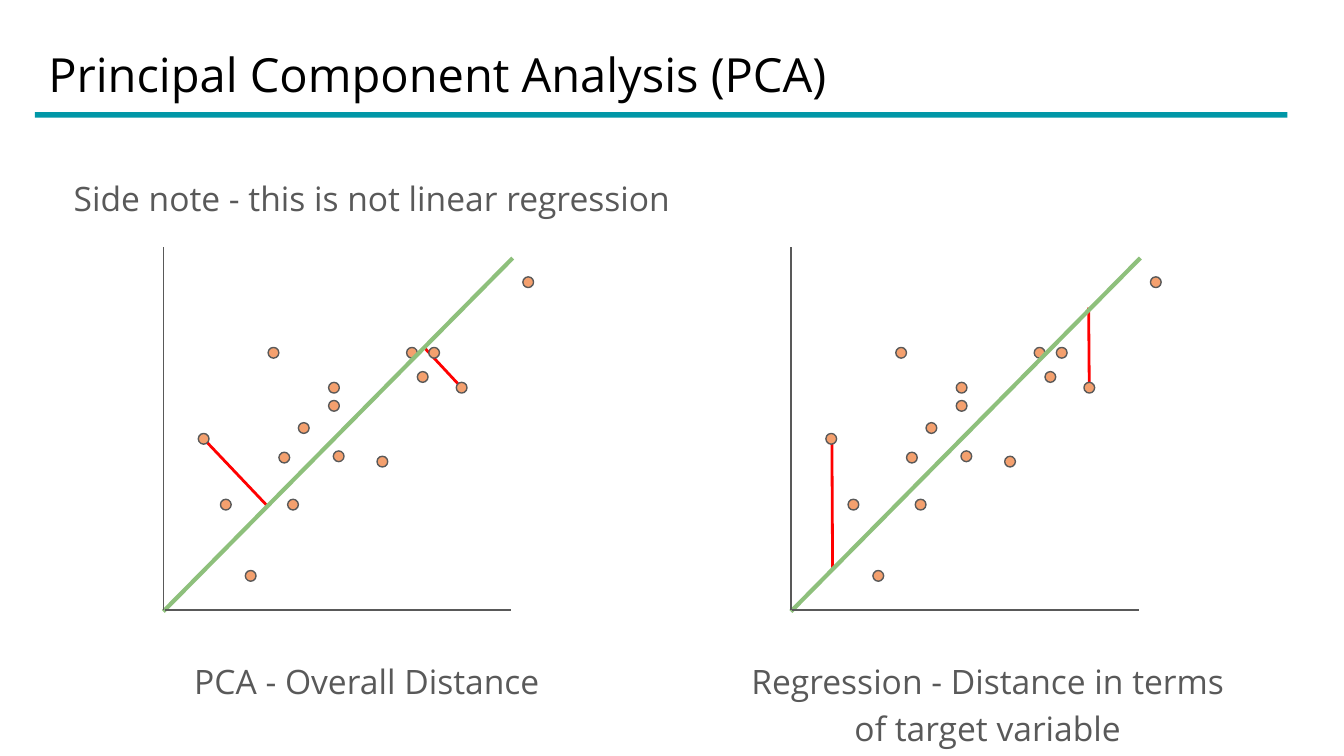
import pptx
import pptx.util
import pptx.dml.color
import pptx.enum.shapes
import pptx.enum.text
import pptx.oxml.ns
import lxml.etree

PX = 4572
FONT = "Open Sans"
COLORS = {
    "title": "000000",
    "text": "595959",
    "rule": "0097A7",
    "dot": "F4A06E",
    "axis": "595959",
    "trend": "8EC07C",
    "distance": "FF0000",
}
DOT_SIZE = 16
DOTS = [
    (156, 149), (246, 201), (201, 261), (246, 228), (185, 375), (378, 185),
    (395, 149), (85, 375), (318, 311), (436, 201), (122, 481), (253, 303),
    (52, 277), (535, 44), (172, 305), (362, 149),
]
PLOTS = [
    {
        "box": (243, 368, 520, 542),
        "distances": [(389, 150, 444, 209), (61, 286, 154, 384)],
        "caption": "PCA - Overall Distance",
        "caption_box": (150, 955, 792, 100),
    },
    {
        "box": (1177, 368, 520, 542),
        "distances": [(443, 90, 444, 209), (61, 286, 62, 480)],
        "caption": "Regression - Distance in terms of target variable",
        "caption_box": (1074, 955, 792, 170),
    },
]


def rgb(name):
    return pptx.dml.color.RGBColor.from_string(COLORS[name])


def emu(lengths):
    return [pptx.util.Emu(length * PX) for length in lengths]


def set_all(target, values):
    for name, value in values.items():
        setattr(target, name, value)


def write(shape, text, color, size, frame_format, para_format):
    frame = shape.text_frame
    inset = pptx.util.Emu(20 * PX)
    margins = {f"margin_{side}": inset for side in ("left", "top", "right", "bottom")}
    set_all(frame, {"word_wrap": True, **margins, **frame_format})
    para = frame.paragraphs[0]
    set_all(para, para_format)
    span = para.add_run()
    span.text = text
    set_all(span.font, {"name": FONT, "size": pptx.util.Pt(size), "bold": False})
    span.font.color.rgb = rgb(color)


def add_shape(shapes, kind, box, fill, outline=None):
    shape = shapes.add_shape(kind, *emu(box))
    shape.shadow.inherit = False
    shape.fill.solid()
    shape.fill.fore_color.rgb = rgb(fill)
    if outline:
        shape.line.color.rgb = rgb(outline)
        shape.line.width = pptx.util.Pt(0.75)
    else:
        shape.line.fill.background()


def add_line(page, origin, ends, color, width):
    left, top = origin
    x1, y1, x2, y2 = ends
    line = page.shapes.add_connector(
        pptx.enum.shapes.MSO_CONNECTOR.STRAIGHT,
        *emu((left + x1, top + y1, left + x2, top + y2)),
    )
    line.line.color.rgb = rgb(color)
    line.line.width = pptx.util.Pt(width)
    properties = line._element.spPr
    lxml.etree.SubElement(properties, pptx.oxml.ns.qn("a:effectLst"))


def add_body_text(page, box, text, align, auto_size):
    shape = page.shapes.add_textbox(*emu(box))
    write(
        shape, text, "text", 18,
        {"auto_size": auto_size, "vertical_anchor": pptx.enum.text.MSO_ANCHOR.TOP},
        {"alignment": align, "line_spacing": 1.15, "space_after": pptx.util.Pt(12)},
    )


def add_header(page, box, text):
    left, top, width, height = box
    title = page.shapes.title
    set_all(title, dict(zip(("left", "top", "width", "height"), emu(box))))
    write(
        title, text, "title", 25.2,
        {
            "auto_size": pptx.enum.text.MSO_AUTO_SIZE.NONE,
            "vertical_anchor": pptx.enum.text.MSO_ANCHOR.MIDDLE,
        },
        {"alignment": pptx.enum.text.PP_ALIGN.LEFT},
    )
    rule_box = (left, top + height - 6, width, 8)
    add_shape(page.shapes, pptx.enum.shapes.MSO_SHAPE.RECTANGLE, rule_box, "rule")


def add_scatter(page, box, distances):
    left, top, width, height = box
    origin = (left, top)
    for ends in distances:
        add_line(page, origin, ends, "distance", 1.5)
    cloud = page.shapes.add_group_shape()
    for x, y in DOTS:
        dot_box = (left + x, top + y, DOT_SIZE, DOT_SIZE)
        add_shape(cloud.shapes, pptx.enum.shapes.MSO_SHAPE.OVAL, dot_box, "dot", "axis")
    floor = height - 2
    add_line(page, origin, (width, 16, 0, height), "trend", 2.25)
    add_line(page, origin, (0, 0, 0, floor), "axis", 0.75)
    add_line(page, origin, (2, floor, width - 2, floor), "axis", 0.75)


def main():
    deck = pptx.Presentation()
    deck.slide_width, deck.slide_height = emu((2000, 1125))
    page = deck.slides.add_slide(deck.slide_layouts.get_by_name("Title Only"))
    add_header(page, (52, 47, 1864, 126), "Principal Component Analysis (PCA)")
    add_body_text(
        page, (90, 236, 1920, 166), "Side note - this is not linear regression",
        pptx.enum.text.PP_ALIGN.LEFT, pptx.enum.text.MSO_AUTO_SIZE.NONE,
    )
    for plot in PLOTS:
        add_scatter(page, plot["box"], plot["distances"])
        add_body_text(
            page, plot["caption_box"], plot["caption"],
            pptx.enum.text.PP_ALIGN.CENTER,
            pptx.enum.text.MSO_AUTO_SIZE.SHAPE_TO_FIT_TEXT,
        )
    deck.save("out.pptx")


if __name__ == "__main__":
    main()
